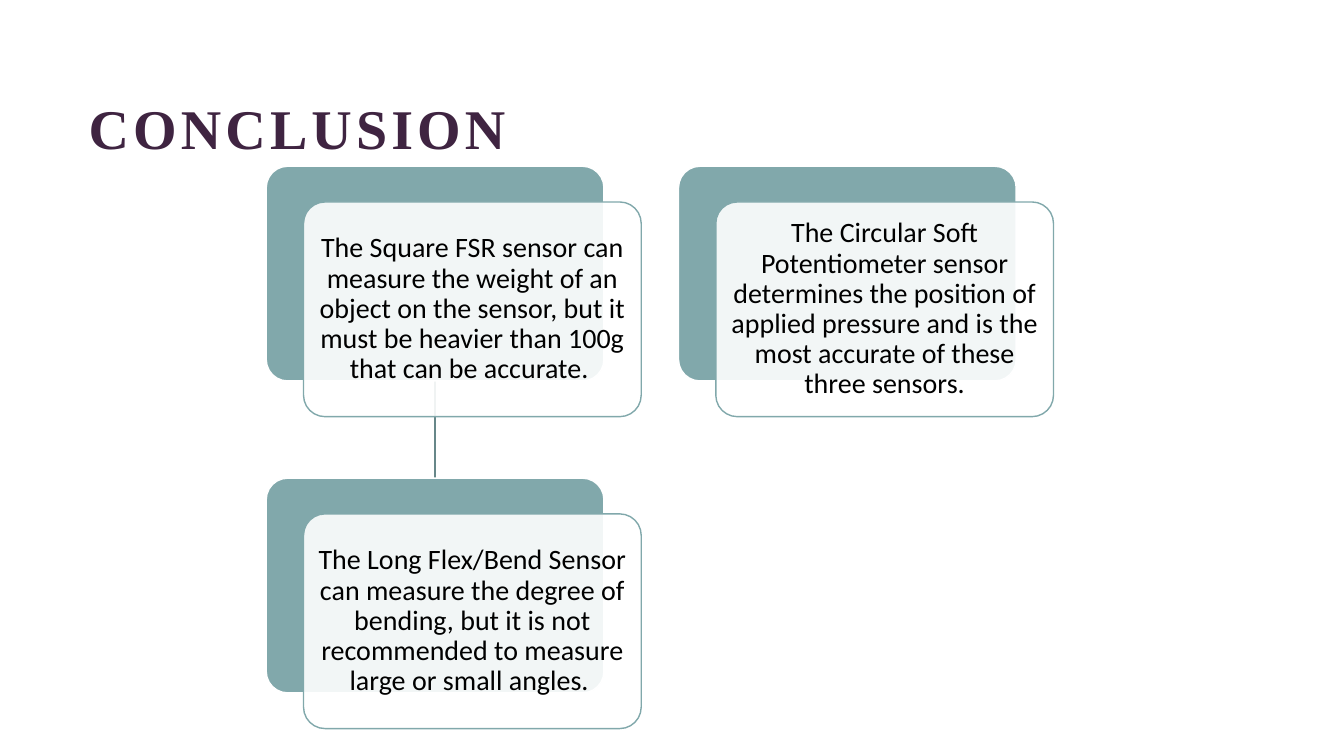
from lxml import etree
from pptx import Presentation
from pptx import util as u
from pptx.dml.color import RGBColor
from pptx.enum import shapes, text
from pptx.oxml.ns import qn

COLORS = {"title": "3F2441", "teal": "81A8AB", "link": "678789",
          "white": "FFFFFF", "black": "000000"}
CARD_W, CARD_H = 8.51, 5.41
LEFT, TOP = 6.71, 4.19
STEP_X, STEP_Y = 10.39, 7.86
SHIFT_X, SHIFT_Y = 0.94, 0.9

# column, row, wording
CARDS = [
    (0, 0, "The Square FSR sensor can measure the weight of an object on the "
           "sensor, but it must be heavier than 100g that can be accurate. "),
    (0, 1, "The Long Flex/Bend Sensor can measure the degree of bending, but it "
           "is not recommended to measure large or small angles. "),
    (1, 0, "The Circular Soft Potentiometer sensor determines the position of "
           "applied pressure and is the most accurate of these three sensors."),
]


def rgb(name):
    return RGBColor.from_string(COLORS[name])


def add_card(x, y, fill, line):
    sp = s.shapes.add_shape(shapes.MSO_SHAPE.ROUNDED_RECTANGLE,
                            u.Cm(x), u.Cm(y), u.Cm(CARD_W), u.Cm(CARD_H))
    sp.adjustments[0] = 0.1
    sp.shadow.inherit = False
    sp.fill.solid()
    sp.fill.fore_color.rgb = rgb(fill)
    sp.line.color.rgb = rgb(line)
    sp.line.width = u.Pt(1)
    return sp


prs = Presentation()
prs.slide_width, prs.slide_height = u.Cm(33.87), u.Cm(19.05)
s = prs.slides.add_slide(prs.slide_layouts[5])

# Title
title = s.shapes.title
title.left, title.top = u.Cm(1.98), u.Cm(1.9)
title.width, title.height = u.Cm(28.17), u.Cm(2.29)
tf = title.text_frame
tf.vertical_anchor = text.MSO_ANCHOR.BOTTOM
p = tf.paragraphs[0]
p.alignment = text.PP_ALIGN.LEFT
p.line_spacing = 0.9
r = p.add_run()
r.text = "CONCLUSION"
r.font.name = "Times New Roman"
r.font.size = u.Pt(40)
r.font.bold = True
r.font.color.rgb = rgb("title")
r.font._element.set("spc", "300")

# Link between the two cards of the first column, behind the cards
link = s.shapes.add_connector(shapes.MSO_CONNECTOR.STRAIGHT, 0, 0, 0, 0)
link.line.color.rgb = rgb("link")
link.line.width = u.Pt(1)
etree.SubElement(link._element.spPr, qn("a:effectLst"))

# Cards: a teal back and a translucent front that holds the text
backs = []
for col, row, wording in CARDS:
    x, y = LEFT + col * STEP_X, TOP + row * STEP_Y
    backs.append(add_card(x, y, "teal", "white"))
    front = add_card(x + SHIFT_X, y + SHIFT_Y, "white", "teal")
    color = front._element.spPr.find(qn("a:solidFill"))[0]
    etree.SubElement(color, qn("a:alpha"), val="90000")

    tf = front.text_frame
    tf.word_wrap = True
    tf.vertical_anchor = text.MSO_ANCHOR.MIDDLE
    tf.margin_left = tf.margin_right = u.Cm(0.2)
    tf.margin_top = tf.margin_bottom = u.Cm(0.2)
    p = tf.paragraphs[0]
    p.alignment = text.PP_ALIGN.CENTER
    p.line_spacing = 0.9
    p.space_after = u.Pt(7)
    r = p.add_run()
    r.text = wording
    r.font.name = "Calibri"
    r.font.size = u.Pt(20)
    r.font.color.rgb = rgb("black")

link.begin_connect(backs[0], 2)
link.end_connect(backs[1], 0)

prs.save("out.pptx")
